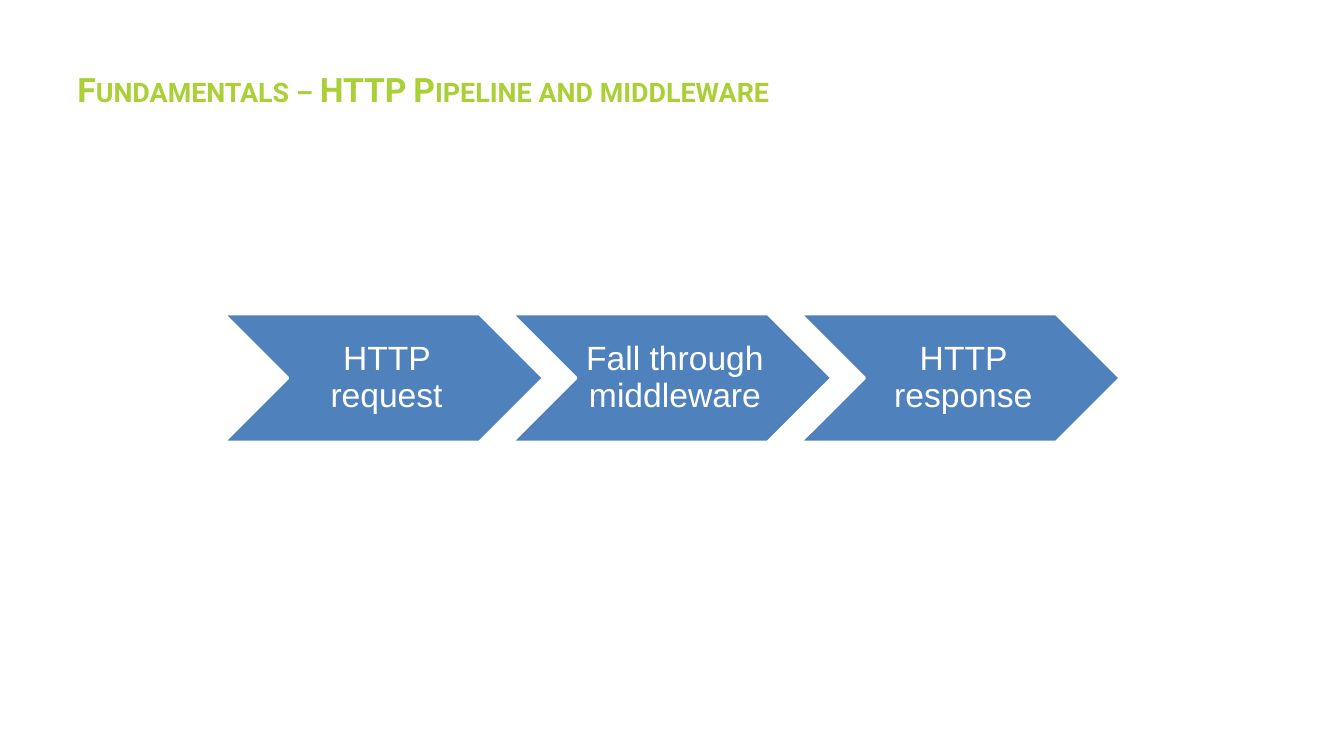
import dataclasses

import pptx
import pptx.dml.color
import pptx.enum.shapes
import pptx.enum.text
import pptx.util

TITLE = "Fundamentals – HTTP Pipeline and middleware"
STAGES = ["HTTP request", "Fall through middleware", "HTTP response"]

SLIDE_WIDTH, SLIDE_HEIGHT = 13.33, 7.5
TITLE_BOX = (0.67, 0.56, 12, 0.64)
STAGE_WIDTH, STAGE_HEIGHT = 3.17, 1.27
STAGE_PITCH = 2.86


@dataclasses.dataclass(frozen=True)
class Theme:
    title: str = "ABD037"
    stage: str = "4F81BD"
    light: str = "FFFFFF"
    title_font: str = "Roboto"
    stage_font: str = "Arial"
    size: int = 24
    outline: int = 2


THEME = Theme()


def color(value):
    return pptx.dml.color.RGBColor.from_string(value)


def inches(values):
    return [pptx.util.Inches(value) for value in values]


def write(shape, text, *, font, fill, bold=False, small_caps=False, align=None,
          line_spacing=None, insets=(0.1, 0.05, 0.1, 0.05)):
    """Fill a shape with one vertically centred paragraph; insets run left, top, right, bottom."""
    frame = shape.text_frame
    frame.word_wrap = True
    frame.vertical_anchor = pptx.enum.text.MSO_ANCHOR.MIDDLE
    (frame.margin_left, frame.margin_top,
     frame.margin_right, frame.margin_bottom) = inches(insets)
    para = frame.paragraphs[0]
    para.alignment = align
    para.line_spacing = line_spacing
    span = para.add_run()
    span.text = text
    span.font.name = font
    span.font.size = pptx.util.Pt(THEME.size)
    span.font.bold = bold
    span.font.color.rgb = color(fill)
    if small_caps:
        span.font._element.set("cap", "small")


def add_stage(page, text, left, top):
    chevron = page.shapes.add_shape(
        pptx.enum.shapes.MSO_SHAPE.CHEVRON,
        *inches((left, top, STAGE_WIDTH, STAGE_HEIGHT)))
    chevron.shadow.inherit = False
    chevron.fill.solid()
    chevron.fill.fore_color.rgb = color(THEME.stage)
    chevron.line.color.rgb = color(THEME.light)
    chevron.line.width = pptx.util.Pt(THEME.outline)
    write(chevron, text, font=THEME.stage_font, fill=THEME.light,
          align=pptx.enum.text.PP_ALIGN.CENTER, line_spacing=0.9,
          insets=(0.1, 0.04, 0.04, 0.04))


def main():
    deck = pptx.Presentation()
    deck.slide_width, deck.slide_height = inches((SLIDE_WIDTH, SLIDE_HEIGHT))
    page = deck.slides.add_slide(deck.slide_layouts[6])

    title = page.shapes.add_textbox(*inches(TITLE_BOX))
    write(title, TITLE, font=THEME.title_font, fill=THEME.title,
          bold=True, small_caps=True)

    row_width = STAGE_PITCH * (len(STAGES) - 1) + STAGE_WIDTH
    first_left = (SLIDE_WIDTH - row_width) / 2
    top = (SLIDE_HEIGHT - STAGE_HEIGHT) / 2
    for index, stage in enumerate(STAGES):
        add_stage(page, stage, first_left + index * STAGE_PITCH, top)

    deck.save("out.pptx")


if __name__ == "__main__":
    main()
